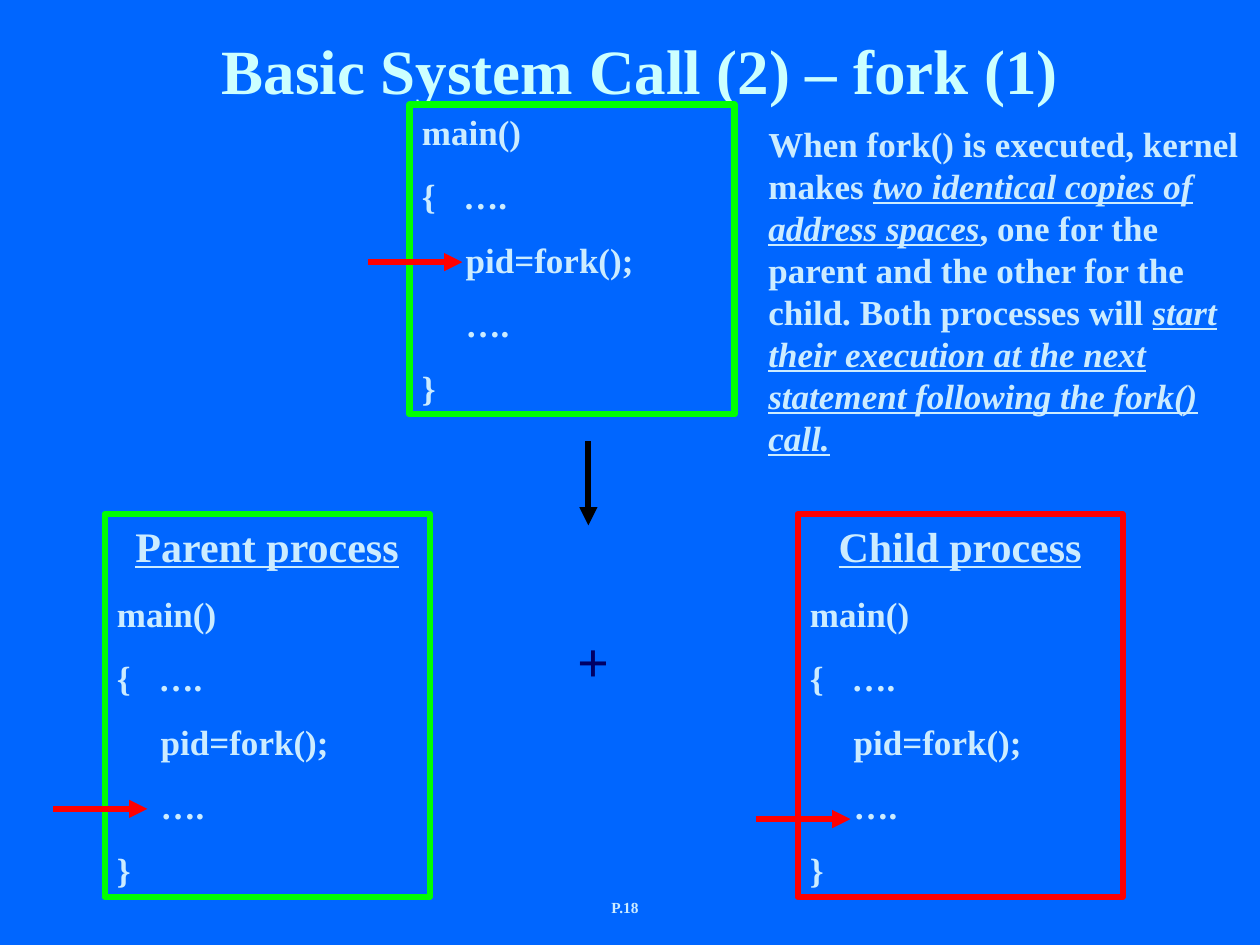
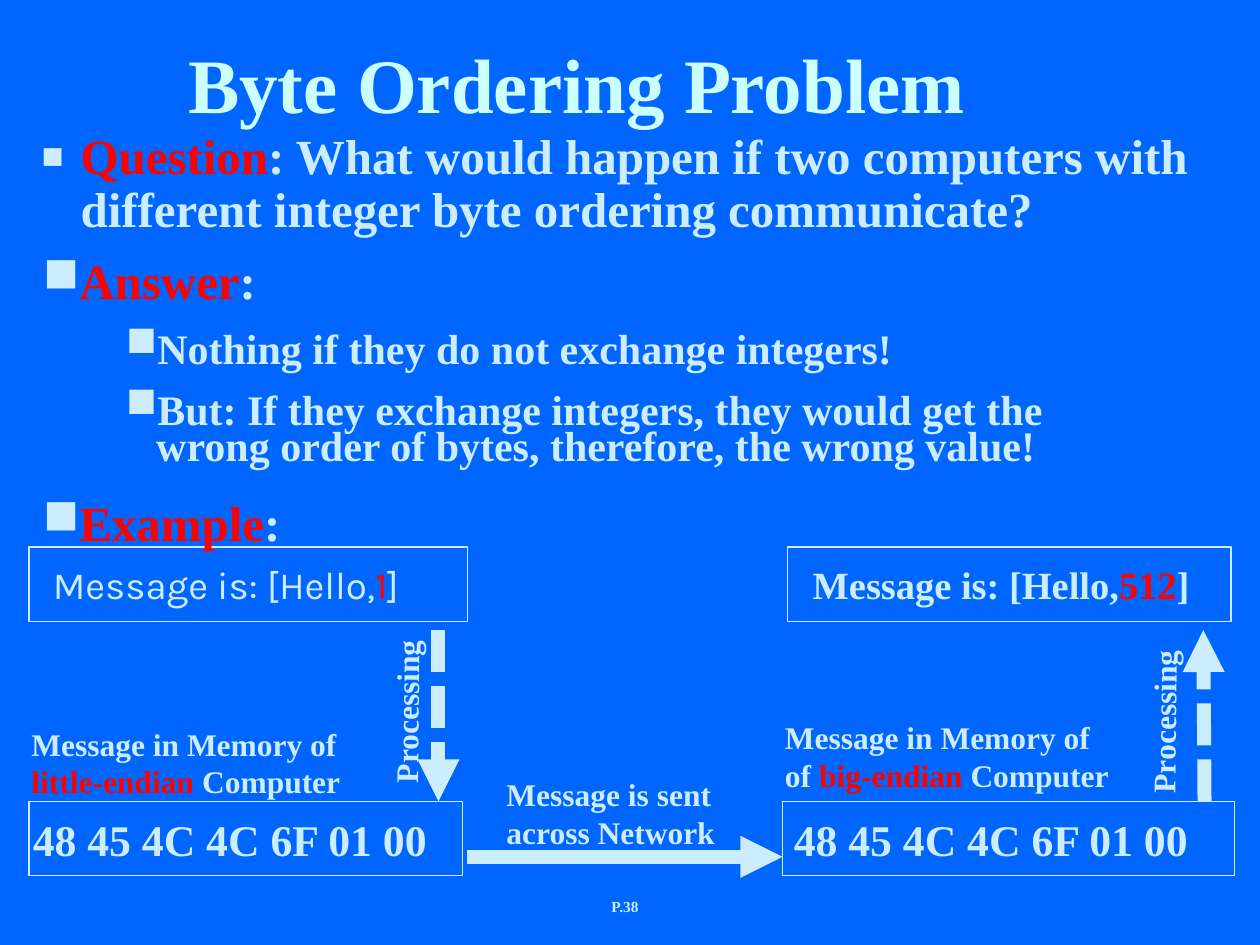
from lxml import etree
from pptx import Presentation
from pptx.dml.color import RGBColor
from pptx.enum.dml import MSO_LINE
from pptx.enum.shapes import MSO_CONNECTOR, MSO_SHAPE
from pptx.enum.text import MSO_ANCHOR, MSO_AUTO_SIZE, PP_ALIGN
from pptx.oxml.ns import qn
from pptx.util import Inches, Pt

BLUE = RGBColor(0x00, 0x66, 0xFF)
PALE = RGBColor(0xCC, 0xEC, 0xFF)
CYAN = RGBColor(0xCC, 0xFF, 0xFF)
RED = RGBColor(0xFF, 0x00, 0x00)
GREEN = RGBColor(0x00, 0xFF, 0x00)
NAVY = RGBColor(0x00, 0x00, 0x66)
BLACK = RGBColor(0x00, 0x00, 0x00)

TOP = MSO_ANCHOR.TOP
FIXED = MSO_AUTO_SIZE.NONE
LEFT, CENTER = PP_ALIGN.LEFT, PP_ALIGN.CENTER
RECT, STRAIGHT = MSO_SHAPE.RECTANGLE, MSO_CONNECTOR.STRAIGHT
DOTS = MSO_LINE.SQUARE_DOT

SERIF, SANS = "Times New Roman", "Karla"
TITLE_ONLY, TITLE_BODY = 5, 1
CODE = ["main()", "{\t….", "     pid=fork();", "     ….", "}"]
BYTES = "48 45 4C 4C 6F 01 00"


def add_xml(parent, tag, **attrs):
    return etree.SubElement(parent, qn(tag), **attrs)


def mark(para, margin, size):
    """Give a paragraph a hanging square bullet, size in percent."""
    props = para._p.get_or_add_pPr()
    hang = 0.31 if size < 100 else 0.24
    props.set("marL", str(Inches(margin)))
    props.set("indent", str(-Inches(hang)))
    add_xml(add_xml(props, "a:buClr"), "a:srgbClr", val=str(PALE))
    add_xml(props, "a:buSzPct", val=str(size * 1000))
    add_xml(props, "a:buChar", char="■")


def write(frame, *runs, size=20, color=PALE, font=SERIF, bold=True, under=False,
          align=LEFT, before=0, line=None, bullet=None, tab=None):
    """Add one paragraph; a run is a string or (string, format changes)."""
    first = frame.paragraphs[0]
    fresh = not first.runs
    para = first if fresh else frame.add_paragraph()
    if bullet:
        mark(para, *bullet)
    if tab:
        stops = add_xml(para._p.get_or_add_pPr(), "a:tabLst")
        add_xml(stops, "a:tab", pos=str(Inches(tab)), algn="l")
    para.alignment = align
    para.space_before = Pt(0 if fresh else before)
    if line:
        para.line_spacing = line
    for item in runs:
        text, change = (item, {}) if isinstance(item, str) else item
        for count, part in enumerate(text.split("\n")):
            if count:
                para.add_line_break()
            if not part:
                continue
            run = para.add_run()
            run.text = part
            face = run.font
            face.name, face.size, face.bold = font, Pt(size), bold
            face.color.rgb = change.get("color", color)
            face.underline = change.get("under", under)
            face.italic = change.get("italic", False)


class Deck:
    def __init__(self):
        self.prs = Presentation()
        self.prs.slide_width, self.prs.slide_height = Inches(10), Inches(7.5)
        fill = self.prs.slide_master.background.fill
        fill.solid()
        fill.fore_color.rgb = BLUE
        self.slide = None
        self.pad = (0.1, 0.05)

    def start(self, layout, page, pad):
        self.slide = self.prs.slides.add_slide(self.prs.slide_layouts[layout])
        self.pad = pad
        write(self.text(3.92, 7.08, 2.08, 0.25), page, size=8.8, align=CENTER)

    def place(self, holder, x, y, w, h):
        holder.left, holder.top = Inches(x), Inches(y)
        holder.width, holder.height = Inches(w), Inches(h)
        return self.trim(holder.text_frame, (0.1, 0.05))

    def trim(self, frame, pad):
        frame.word_wrap, frame.auto_size = True, FIXED
        frame.vertical_anchor = TOP
        frame.margin_left = frame.margin_right = Inches(pad[0])
        frame.margin_top = frame.margin_bottom = Inches(pad[1])
        return frame

    def title(self, text, x, y, w, h, size, drop=0):
        frame = self.place(self.slide.shapes.title, x, y, w, h)
        frame.margin_top, frame.margin_bottom = Inches(drop), 0
        write(frame, text, size=size, color=CYAN, align=CENTER)

    def body(self, x, y, w, h):
        return self.place(self.slide.placeholders[1], x, y, w, h)

    def text(self, x, y, w, h, turn=0):
        box = self.slide.shapes.add_textbox(*map(Inches, (x, y, w, h)))
        box.rotation = turn
        return self.trim(box.text_frame, self.pad)

    def frame(self, x, y, w, h, color=PALE, width=0.75):
        """Draw an outlined, unfilled box and return its text frame."""
        box = self.slide.shapes.add_shape(RECT, *map(Inches, (x, y, w, h)))
        box.shadow.inherit = False
        box.fill.background()
        box.line.color.rgb, box.line.width = color, Pt(width)
        return self.trim(box.text_frame, self.pad)

    def arrow(self, x, y, x2, y2, color=PALE, width=8, dash=None):
        link = self.slide.shapes.add_connector(
            STRAIGHT, *map(Inches, (x, y, x2, y2)))
        link.line.color.rgb, link.line.width = color, Pt(width)
        if dash:
            link.line.dash_style = dash
        add_xml(link.line._get_or_add_ln(), "a:tailEnd", type="triangle")
        add_xml(link._element.spPr, "a:effectLst")

    def code(self, x, y, h, color, head=None):
        """Draw a process box with the program in it."""
        frame = self.frame(x, y, 2.58, h, color, 3.5)
        if head:
            write(frame, head, size=24, under=True, align=CENTER)
        for row in CODE:
            write(frame, row, before=12.5, tab=0.33 if "\t" in row else None)


def fork(deck):
    deck.start(TITLE_ONLY, "P.18", (0.1, 0.05))
    deck.title("Basic System Call (2) – fork (1)", 0.33, 0.25, 9.5, 0.58, 36)
    deck.code(3.25, 0.83, 2.46, GREEN)
    stress = {"italic": True, "under": True}
    write(deck.text(6, 0.92, 4, 2.77),
          "When fork() is executed, kernel makes ",
          ("two identical copies of address spaces", stress),
          ", one for the parent and the other for the child. "
          "Both processes will ",
          ("start their execution at the next statement following "
           "the fork() call.", stress))
    deck.code(0.83, 4.08, 3.04, GREEN, "Parent process")
    write(deck.text(4.25, 4.92, 0.92, 0.64), "+", size=32, color=NAVY,
          align=CENTER)
    deck.code(6.33, 4.08, 3.04, RED, "Child process")
    deck.arrow(4.67, 3.5, 4.67, 4.17, BLACK, 3.5)
    for x, y in ((2.92, 2.08), (6, 6.5), (0.42, 6.42)):
        deck.arrow(x, y, x + 0.75, y, RED, 3.5)


def order(deck):
    red = {"color": RED}
    deck.start(TITLE_BODY, "P.38", (0.09, 0.04))
    deck.title("Byte Ordering Problem", 0.33, 0.17, 8.5, 0.67, 44, 0.12)
    write(deck.body(0.23, 1, 9.77, 1.01), ("Question", red),
          ": What would happen if two computers with different integer "
          "byte ordering communicate?", size=28, line=0.9, bullet=(0.31, 75))

    for x, y, w in ((0.23, 4.34, 3.48), (6.25, 4.34, 3.52),
                    (0.23, 6.36, 3.44), (6.21, 6.36, 3.59)):
        deck.frame(x, y, w, 0.59)
    for x, value, font in ((0.33, "1", SANS), (6.36, "512", SERIF)):
        write(deck.text(x, 4.41, 3.38, 0.46), "Message is: [Hello,",
              (value, red), "]", size=22, font=font, bold=font == SERIF)
    for x in (0.17, 6.21):
        write(deck.text(x, 6.41, 3.71, 0.51), BYTES, size=25)
    for x, y, lead, kind in ((0.16, 5.71, "", "little-endian"),
                             (6.14, 5.66, "of ", "big-endian")):
        write(deck.text(x, y, 3, 0.69), "Message in Memory of\n" + lead,
              (kind, red), " Computer", size=18)
    for x, y in ((2.42, 5.23), (8.43, 5.31)):
        write(deck.text(x, y, 1.69, 0.46, 270.5), "Processing", size=18)

    sent = deck.text(3.93, 6.11, 1.87, 0.69)
    for row in ("Message is sent", "across Network"):
        write(sent, row, size=18)
    deck.arrow(3.71, 6.8, 6.21, 6.8)
    deck.arrow(3.48, 5, 3.48, 6.36, dash=DOTS)
    deck.arrow(9.56, 6.36, 9.55, 5, dash=DOTS)

    points = deck.text(0.25, 2, 9.47, 2.43)
    main = dict(size=28, before=17.5, line=0.9, bullet=(0.24, 100))
    sub = dict(size=24, before=15, line=0.7, bullet=(0.9, 100))
    write(points, ("Answer", red), ":", **main)
    write(points, "Nothing if they do not exchange integers!", **sub)
    write(points, "But: If they exchange integers, they would get the\n"
          "wrong order of bytes, therefore, the wrong value!", **sub)
    write(points, ("Example", red), ":", **main)


def main():
    deck = Deck()
    fork(deck)
    order(deck)
    deck.prs.save("out.pptx")


if __name__ == "__main__":
    main()
